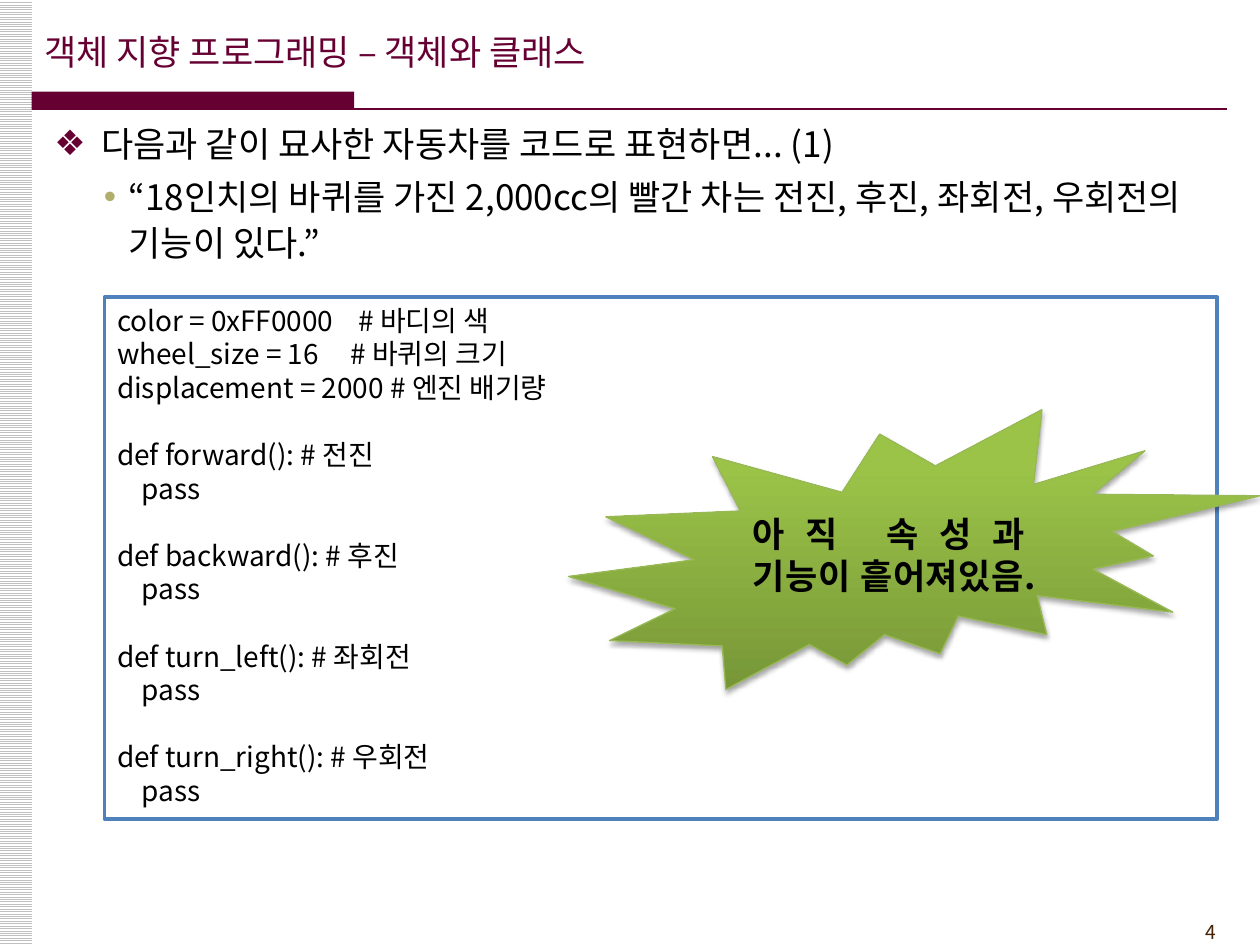
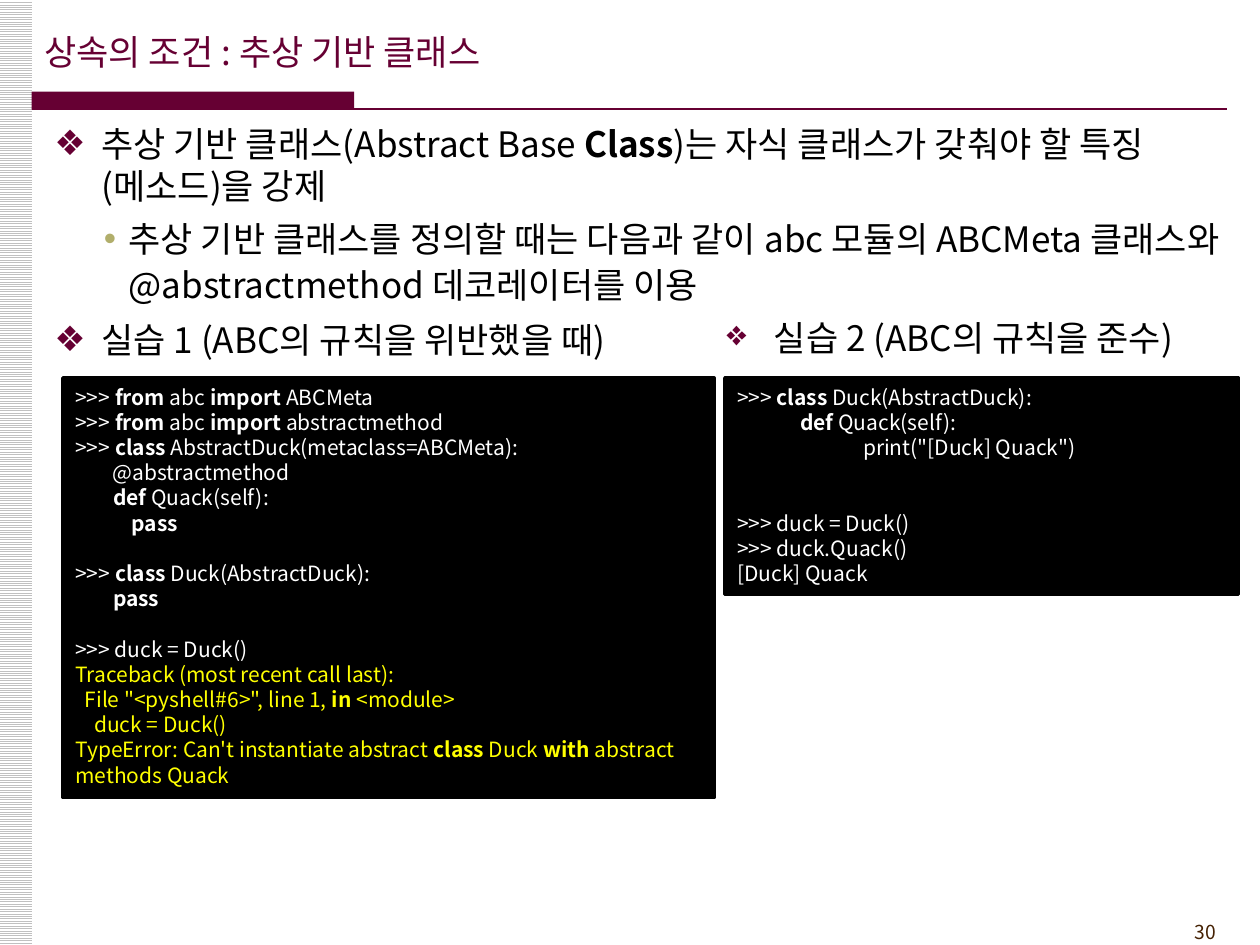
import pptx
import pptx.dml.color
import pptx.enum.dml
import pptx.enum.shapes
import pptx.enum.text
import pptx.oxml
import pptx.oxml.ns
import pptx.util
from pptx.util import Cm, Pt

FONT = "Noto Sans CJK KR"
WINE, BLACK, WHITE, YELLOW = "660033", "000000", "FFFFFF", "FFFF00"
LINE_FACTOR = 1.2
ALIGN = pptx.enum.text.PP_ALIGN
ANCHOR = pptx.enum.text.MSO_ANCHOR
SHAPE = pptx.enum.shapes.MSO_SHAPE

# bullet sign, bullet colour, left margin, hanging indent, line spacing, space after
LEVELS = [("❖", WINE, Cm(0.95), Cm(0.95), 1.0, 0),
          ("•", "B1AE6B", Cm(1.5), Cm(0.5), 1.1, 3)]

CAR_CODE = """\
color = 0xFF0000    # 바디의 색
wheel_size = 16     # 바퀴의 크기
displacement = 2000 # 엔진 배기량

def forward(): # 전진
    pass

def backward(): # 후진
    pass

def turn_left(): # 좌회전
    pass

def turn_right(): # 우회전
    pass"""

VIOLATION_CODE = """\
>>> *from *abc *import *ABCMeta
>>> *from *abc *import *abstractmethod
>>> *class *AbstractDuck(metaclass=ABCMeta):
        @abstractmethod
        *def* Quack(self):
            *pass*

>>> *class* Duck(AbstractDuck):
        *pass*

>>> duck = Duck()"""

VIOLATION_ERROR = """\
Traceback (most recent call last):
  File "<pyshell#6>", line 1, *in* <module>
    duck = Duck()
TypeError: Can't instantiate abstract *class* Duck *with* abstract methods Quack"""

COMPLIANCE_CODE = """\
>>> *class* Duck(AbstractDuck):
\t*def* Quack(self):
\t\tprint("[Duck] Quack")


>>> duck = Duck()
>>> duck.Quack()
[Duck] Quack"""


def rgb(value):
    return pptx.dml.color.RGBColor.from_string(value)


def place(shape, left, top, width, height):
    """Set position and size in centimetres."""
    shape.left, shape.top, shape.width, shape.height = map(
        Cm, (left, top, width, height))


def write(para, text, size, color, bold=False):
    """Add runs; parts between asterisks are bold."""
    for index, part in enumerate(text.split("*")):
        if not part:
            continue
        span = para.add_run()
        span.text = part
        span.font.size = Pt(size)
        span.font.bold = bold or index % 2 == 1
        span.font.color.rgb = rgb(color)
        span.font.name = FONT
        east_asian = pptx.oxml.parse_xml(
            f'<a:ea {pptx.oxml.ns.nsdecls("a")} typeface="{FONT}"/>')
        span.font._element.append(east_asian)


def next_paragraph(frame):
    """Return the empty first paragraph, or a new one."""
    first = frame.paragraphs[0]
    return frame.add_paragraph() if first.runs else first


def setup_frame(shape, anchor=ANCHOR.TOP):
    frame = shape.text_frame
    frame.word_wrap = True
    frame.auto_size = pptx.enum.text.MSO_AUTO_SIZE.NONE
    frame.vertical_anchor = anchor
    return frame


def write_list(shape, items):
    """Fill a shape with (level, text) bullet items."""
    frame = setup_frame(shape)
    for index, (level, text) in enumerate(items):
        sign, color, margin, hanging, spacing, after = LEVELS[level]
        para = next_paragraph(frame)
        para.level = level
        properties = para._p.get_or_add_pPr()
        properties.set("marL", str(margin))
        properties.set("indent", str(-hanging))
        names = pptx.oxml.ns.nsdecls("a")
        for xml in (f'<a:buClr {names}><a:srgbClr val="{color}"/></a:buClr>',
                    f'<a:buChar {names} char="{sign}"/>'):
            properties.append(pptx.oxml.parse_xml(xml))
        para.alignment = ALIGN.LEFT
        para.line_spacing = Pt(20 * LINE_FACTOR * spacing)
        para.space_before = Pt(4 if index else 0)
        para.space_after = Pt(after)
        write(para, text, 20, BLACK)


def write_code(frame, code, size, color):
    """Add code lines; an empty line becomes space before the next one."""
    pitch = size * LINE_FACTOR
    gap = 0
    for line in code.split("\n"):
        if not line:
            gap += pitch
            continue
        para = next_paragraph(frame)
        para.alignment = ALIGN.LEFT
        para.line_spacing = Pt(pitch)
        para.space_before = Pt(gap)
        write(para, line, size, color)
        gap = 0


def add_box(page, kind, area, fill=None, line=None, line_width=2):
    box = page.shapes.add_shape(kind, *map(Cm, area))
    box.shadow.inherit = False
    if fill:
        box.fill.solid()
        box.fill.fore_color.rgb = rgb(fill)
    if line:
        box.line.color.rgb = rgb(line)
        box.line.width = Pt(line_width)
    else:
        box.line.fill.background()
    return box


def add_code_box(page, area, fill, line, size, *parts):
    """Draw a framed box holding (code, colour) parts."""
    frame = setup_frame(add_box(page, SHAPE.RECTANGLE, area, fill, line))
    for code, color in parts:
        write_code(frame, code, size, color)


def add_burst(page, area, text):
    burst = add_box(page, SHAPE.EXPLOSION2, area, line="98B955", line_width=0.75)
    burst.fill.gradient()
    burst.fill.gradient_angle = 90
    stops = burst.fill.gradient_stops
    for stop, position, color in zip(stops, (0, 0.8), ("779737", "9BC348")):
        stop.position = position
        stop.color.rgb = rgb(color)
    effects = burst._element.spPr.find(pptx.oxml.ns.qn("a:effectLst"))
    effects.append(pptx.oxml.parse_xml(
        f'<a:outerShdw {pptx.oxml.ns.nsdecls("a")} blurRad="{Pt(3.1)}" '
        f'dist="{Pt(1.8)}" dir="5400000" rotWithShape="0">'
        '<a:srgbClr val="000000"><a:alpha val="35000"/></a:srgbClr></a:outerShdw>'))
    para = setup_frame(burst, ANCHOR.MIDDLE).paragraphs[0]
    para.alignment = ALIGN.JUSTIFY
    para.line_spacing = Pt(20 * LINE_FACTOR)
    write(para, text, 20, BLACK, bold=True)


def add_side_strip(page):
    strip = add_box(page, SHAPE.RECTANGLE, (0, 0, 0.64, 19.05))
    strip.fill.patterned()
    strip.fill.pattern = pptx.enum.dml.MSO_PATTERN.LIGHT_HORIZONTAL
    strip.fill.fore_color.rgb = rgb("C0C0C0")
    strip.fill.back_color.rgb = rgb(WHITE)


def add_title_rule(page):
    add_box(page, SHAPE.RECTANGLE, (0.64, 1.85, 6.5, 0.36), WINE)
    rule = page.shapes.add_connector(
        pptx.enum.shapes.MSO_CONNECTOR.STRAIGHT,
        Cm(0.64), Cm(2.2), Cm(24.74), Cm(2.2))
    rule.line.color.rgb = rgb(WINE)
    rule.line.width = Pt(1.5)
    rule._element.spPr.append(pptx.oxml.parse_xml(
        f'<a:effectLst {pptx.oxml.ns.nsdecls("a")}/>'))


def add_page_number(page, number):
    box = page.shapes.add_textbox(Cm(22.66), Cm(18.42), Cm(2.11), Cm(0.74))
    para = setup_frame(box).paragraphs[0]
    para.alignment = ALIGN.RIGHT
    para.line_spacing = Pt(11 * LINE_FACTOR)
    write(para, str(number), 11, "452103")


def add_page(deck, number, title, items):
    """Add a slide with the shared decoration, a title and a bullet list."""
    page = deck.slides.add_slide(deck.slide_layouts[1])
    add_side_strip(page)
    add_title_rule(page)
    add_page_number(page, number)
    heading, body = page.shapes.title, page.placeholders[1]
    place(heading, 0.64, 0.23, 21, 1.6)
    para = setup_frame(heading, ANCHOR.MIDDLE).paragraphs[0]
    para.alignment = ALIGN.LEFT
    para.line_spacing = Pt(20 * LINE_FACTOR)
    write(para, title, 20, WINE)
    place(body, 0.84, 2.34, 24.13, 15.88)
    write_list(body, items)
    return page


def main():
    deck = pptx.Presentation()
    deck.slide_width, deck.slide_height = Cm(25.4), Cm(19.05)

    page = add_page(deck, 4, "객체 지향 프로그래밍 – 객체와 클래스", [
        (0, "다음과 같이 묘사한 자동차를 코드로 표현하면... (1)"),
        (1, "“18인치의 바퀴를 가진 2,000cc의 빨간 차는 전진, 후진, 좌회전, "
            "우회전의 기능이 있다.”")])
    add_code_box(page, (2.11, 5.99, 22.43, 10.52), WHITE, "4F81BD", 16,
                 (CAR_CODE, BLACK))
    add_burst(page, (11.46, 8.26, 13.94, 5.64), "아직 속성과 기능이 흩어져있음.")

    page = add_page(deck, 30, "상속의 조건 : 추상 기반 클래스", [
        (0, "추상 기반 클래스(Abstract Base *Class*)는 자식 클래스가 갖춰야 할 "
            "특징(메소드)을 강제"),
        (1, "추상 기반 클래스를 정의할 때는 다음과 같이 abc 모듈의 ABCMeta 클래스와 "
            "@abstractmethod 데코레이터를 이용"),
        (0, "실습 1 (ABC의 규칙을 위반했을 때)")])
    add_code_box(page, (1.27, 7.62, 13.13, 8.46), BLACK, BLACK, 12,
                 (VIOLATION_CODE, WHITE), (VIOLATION_ERROR, YELLOW))
    add_code_box(page, (14.61, 7.62, 10.36, 4.37), BLACK, BLACK, 12,
                 (COMPLIANCE_CODE, WHITE))
    practice = page.shapes.add_textbox(Cm(14.4), Cm(6.25), Cm(10.92), Cm(1.12))
    write_list(practice, [(0, "실습 2 (ABC의 규칙을 준수)")])

    deck.save("out.pptx")


if __name__ == "__main__":
    main()
